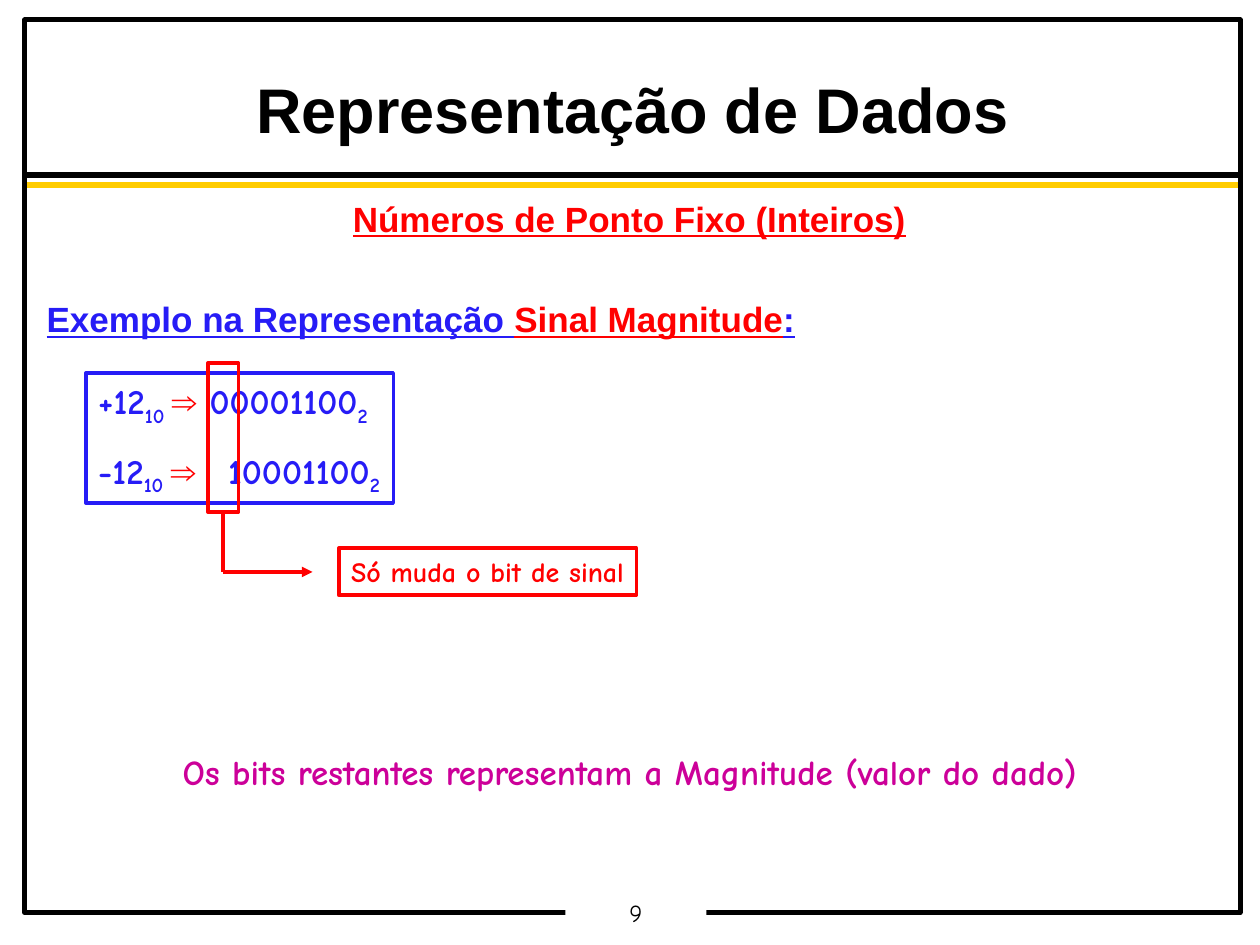
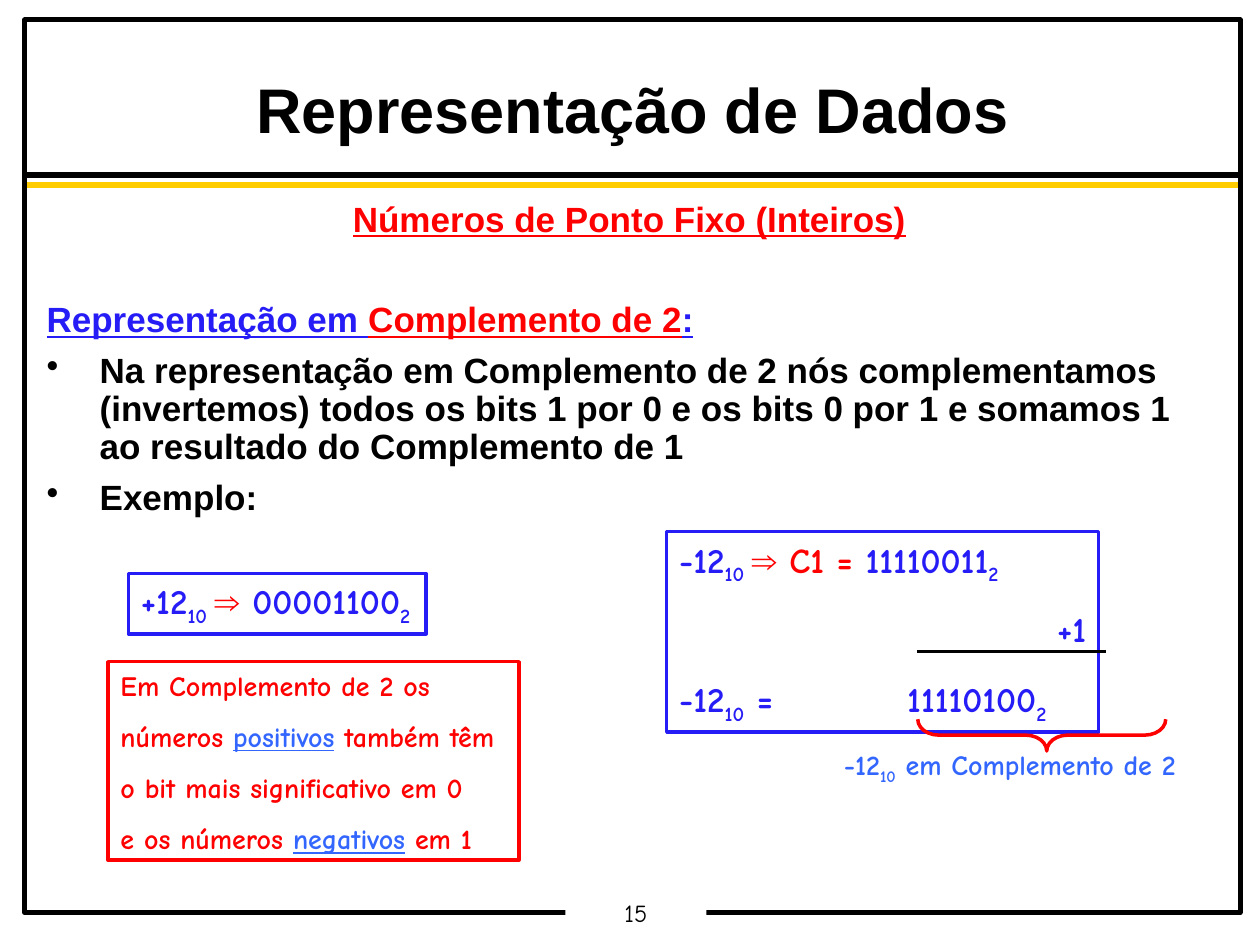
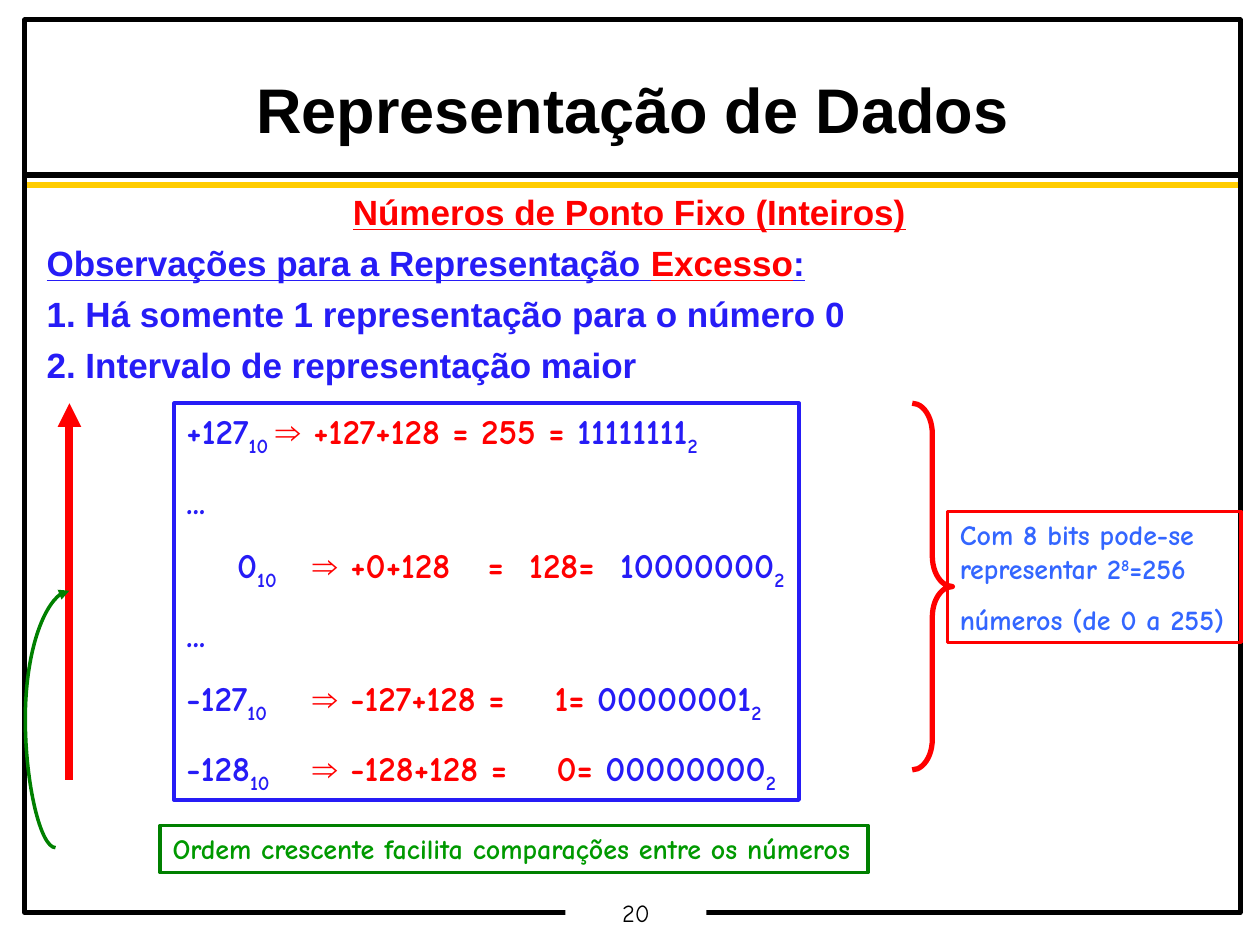
"""Build three slides on fixed-point number representation."""
from dataclasses import dataclass

from lxml.etree import SubElement
from pptx import Presentation
from pptx.dml.color import RGBColor as RGB
from pptx.enum.shapes import MSO_CONNECTOR as CONN, MSO_SHAPE as SHAPE
from pptx.enum.text import MSO_ANCHOR as ANCHOR, PP_ALIGN as ALIGN
from pptx.oxml.ns import qn
from pptx.util import Cm, Pt


@dataclass(frozen=True)
class Theme:
    black: str = "000000"
    white: str = "FFFFFF"
    gold: str = "FFCC00"
    red: str = "FF0000"
    blue: str = "261CF6"
    sky: str = "3366FF"
    magenta: str = "CC0099"
    green: str = "009900"
    dark_green: str = "008000"
    heading_font: str = "Arial"
    hand_font: str = "Comic Neue"
    title: int = 36
    body: int = 20
    note: int = 16
    footer: int = 14


T = Theme()
SUB = dict(base=-25)
RED = dict(color=T.red)
SKY = dict(color=T.sky, underline=True)
U_RED = dict(color=T.red, underline=True)
U_BLUE = dict(color=T.blue, underline=True)
BLACK = dict(color=T.black)
ARROW = ("⇒", dict(color=T.red, font=T.heading_font))
TEN, TWO = ("10", SUB), ("2", SUB)
TEN_SPACE, TEN_TAB = ("10 ", SUB), ("10\t", SUB)

TITLE = "Representação de Dados"
TOPIC = dict(runs=[("Números de Ponto Fixo (Inteiros)", U_RED)], align=ALIGN.CENTER)
PLUS_12 = dict(runs=["+12", TEN_SPACE, ARROW, " 00001100", TWO])


def heading(lead, subject, **fmt):
    return dict(runs=[(lead, U_BLUE), (subject, U_RED), (":", U_BLUE)], **fmt)


SIGN_BODY = [TOPIC, heading("Exemplo na Representação ", "Sinal Magnitude", before=36)]
SIGN_VALUES = [
    PLUS_12,
    dict(runs=["-12", TEN_SPACE, ARROW, "\t10001100", TWO], tabs=[2.62]),
]
SIGN_NOTE = [dict(runs=["Só muda o bit de sinal"])]
SIGN_CLOSING = [dict(runs=["Os bits restantes representam a Magnitude (valor do dado)"])]

COMPLEMENT_BODY = [
    TOPIC,
    heading("Representação em ", "Complemento de 2", before=36),
    dict(runs=[("Na representação em Complemento de 2 nós complementamos (invertemos) "
                "todos os bits 1 por 0 e os bits 0 por 1 e somamos 1 ao resultado do "
                "Complemento de 1", BLACK)], bullet=True),
    dict(runs=[("Exemplo:", BLACK)], bullet=True),
]
COMPLEMENT_NOTE = [
    dict(runs=["Em Complemento de 2 os"]),
    dict(runs=["números ", ("positivos", SKY), " também têm"]),
    dict(runs=["o bit mais significativo em 0"]),
    dict(runs=["e os números ", ("negativos", SKY), " em 1"]),
]
COMPLEMENT_SUM = [
    dict(runs=["-12", TEN_SPACE, ARROW, (" C1 = ", RED), "11110011", TWO]),
    dict(runs=[("\t", SUB), "+1"], tabs=[7.62]),
    dict(runs=["-12", TEN, " =\t11110100", TWO], tabs=[4.6]),
]
COMPLEMENT_LABEL = [dict(runs=["-12", TEN, " em Complemento de 2"])]

EXCESS_BODY = [
    TOPIC,
    heading("Observações para a Representação ", "Excesso"),
    dict(runs=["1. Há somente 1 representação para o número 0"]),
    dict(runs=["2. Intervalo de representação maior"]),
]
EXCESS_VALUES = [
    dict(runs=["+127", TEN_SPACE, ARROW, (" +127+128 = 255 = ", RED), "11111111", TWO]),
    dict(runs=["..."]),
    dict(runs=["\t0", TEN_TAB, ARROW, (" +0+128\t=\t128=\t", RED), "10000000", TWO],
         tabs=[1.02, 2.54, 6.07, 6.91, 8.74]),
    dict(runs=["..."]),
    dict(runs=["-127", TEN_TAB, ARROW, (" -127+128 =\t1= ", RED), "00000001", TWO],
         tabs=[2.54, 7.42]),
    dict(runs=["-128", TEN_TAB, ARROW, (" -128+128 =\t0= ", RED), "00000000", TWO],
         tabs=[2.54, 7.46]),
]
EXCESS_RANGE = [
    dict(runs=["Com 8 bits pode-se representar 2", ("8", dict(base=30)), "=256"]),
    dict(runs=["números (de 0 a 255)"]),
]
EXCESS_ORDER = [dict(runs=["Ordem crescente facilita comparações entre os números"])]


def add_outline(s, kind, box, color, width=2):
    sp = s.shapes.add_shape(kind, *map(Cm, box))
    sp.shadow.inherit = False
    sp.fill.background()
    if color:
        sp.line.color.rgb = RGB.from_string(color)
        sp.line.width = Pt(width)
    else:
        sp.line.fill.background()
    return sp


def add_brace(s, box, width, curl, tip, rotation=0):
    sp = add_outline(s, SHAPE.RIGHT_BRACE, box, T.red, width)
    sp.adjustments[0], sp.adjustments[1] = curl, tip
    sp.rotation = rotation


def add_line(s, start, end, color, width=2, arrow=False, kind=CONN.STRAIGHT):
    cx = s.shapes.add_connector(kind, *map(Cm, start + end))
    cx.line.color.rgb = RGB.from_string(color)
    cx.line.width = Pt(width)
    if arrow:
        SubElement(cx.line._get_or_add_ln(), qn("a:tailEnd"), type="triangle")
    SubElement(cx._element.spPr, qn("a:effectLst"))
    return cx


def format_tabs_and_bullet(p, tabs, bullet):
    pPr = p._p.get_or_add_pPr()
    if bullet:
        pPr.set("marL", str(Cm(1.07)))
        pPr.set("indent", str(Cm(-1.07)))
        SubElement(SubElement(pPr, qn("a:buClr")), qn("a:srgbClr"), val=T.black)
        SubElement(pPr, qn("a:buChar"), char="•")
    if tabs:
        tab_list = SubElement(pPr, qn("a:tabLst"))
        for pos in tabs:
            SubElement(tab_list, qn("a:tab"), pos=str(Cm(pos)), algn="l")


def add_text(s, box, paras, size=T.body, font=T.hand_font, color=T.blue, bold=True,
             outline=None, fill=None, align=ALIGN.LEFT, spacing=None, before=12.5,
             margins=(0.25, 0.13, 0, 0.13)):
    if outline or fill:
        sp = add_outline(s, SHAPE.RECTANGLE, box, outline)
    else:
        sp = s.shapes.add_textbox(*map(Cm, box))
    if fill:
        sp.fill.solid()
        sp.fill.fore_color.rgb = RGB.from_string(fill)
    tf = sp.text_frame
    tf.word_wrap = True
    tf.vertical_anchor = ANCHOR.TOP
    tf.margin_left, tf.margin_top, tf.margin_right, tf.margin_bottom = map(Cm, margins)
    for i, para in enumerate(paras):
        p = tf.add_paragraph() if i else tf.paragraphs[0]
        format_tabs_and_bullet(p, para.get("tabs"), para.get("bullet"))
        p.alignment = para.get("align", align)
        if spacing:
            p.line_spacing = spacing
        p.space_before = Pt(para.get("before", before) if i else 0)
        for run in para["runs"]:
            text, fmt = (run, {}) if isinstance(run, str) else run
            r = p.add_run()
            r.text = text
            r.font.size = Pt(size)
            r.font.bold = bold
            r.font.name = fmt.get("font", font)
            r.font.underline = fmt.get("underline", False)
            r.font.color.rgb = RGB.from_string(fmt.get("color", color))
            if "base" in fmt:
                r._r.get_or_add_rPr().set("baseline", str(fmt["base"] * 1000))
    return sp


def add_note(s, box, paras, color, outline=None):
    add_text(s, box, paras, size=T.note, color=color, outline=outline, before=10)


def add_base(prs, number, body, body_top=3.94):
    s = prs.slides.add_slide(prs.slide_layouts[6])
    for y, color in ((3.53, T.black), (3.73, T.gold)):
        add_line(s, (0.5, y), (25, y), color, 3)
    add_outline(s, SHAPE.RECTANGLE, (0.5, 0.4, 24.5, 18), T.black, 2.83)
    slim = (0.18, 0.08, 0.18, 0.08)
    add_text(s, (11.4, 18.1, 2.84, 0.68), [dict(runs=[str(number)])], size=T.footer,
             color=T.black, bold=False, fill=T.white, align=ALIGN.CENTER,
             spacing=0.9, margins=slim)
    add_text(s, (0.5, 1.45, 24.5, 1.6), [dict(runs=[TITLE])], size=T.title,
             font=T.heading_font, color=T.black, align=ALIGN.CENTER,
             spacing=0.95, margins=slim)
    add_text(s, (0.69, body_top, 24, 13), body, font=T.heading_font, spacing=0.9,
             before=7.5, margins=(0.25, 0.13, 0.25, 0.13))
    return s


def build_sign_magnitude(prs):
    s = add_base(prs, 9, SIGN_BODY)
    add_text(s, (1.73, 7.52, 6.2, 2.62), SIGN_VALUES, outline=T.blue)
    add_text(s, (3.43, 15, 18.67, 1.1), SIGN_CLOSING, color=T.magenta)
    sign_bit = add_outline(s, SHAPE.RECTANGLE, (4.19, 7.32, 0.62, 3), T.red)
    corner = (4.5, 11.53)
    add_line(s, (4.5, 10.32), corner, T.red).begin_connect(sign_bit, 2)
    add_line(s, corner, (6.3, 11.53), T.red, arrow=True)
    add_note(s, (6.83, 11.05, 6, 0.95), SIGN_NOTE, T.red, T.red)


def build_complement(prs):
    s = add_base(prs, 15, COMPLEMENT_BODY)
    add_text(s, (2.59, 11.56, 6, 1.22), [PLUS_12], outline=T.blue)
    add_note(s, (2.18, 13.34, 8.28, 4), COMPLEMENT_NOTE, T.red, T.red)
    add_text(s, (13.44, 10.72, 8.71, 4.04), COMPLEMENT_SUM, outline=T.blue)
    add_line(s, (18.49, 13.13), (22.3, 13.13), T.black)
    add_brace(s, (20.68, 12.32, 0.64, 5), 2, 0.66, 0.48, rotation=90)
    add_note(s, (16.76, 14.94, 7.42, 1.04), COMPLEMENT_LABEL, T.sky)


def build_excess(prs):
    s = add_base(prs, 20, EXCESS_BODY, body_top=3.81)
    add_text(s, (3.51, 8.13, 12.6, 8), EXCESS_VALUES, outline=T.blue)
    add_brace(s, (18.39, 8.13, 0.81, 7.39), 3, 0.76, 0.5)
    add_note(s, (19.1, 10.31, 5.92, 2.64), EXCESS_RANGE, T.sky, T.red)
    add_note(s, (3.23, 16.64, 14.27, 0.95), EXCESS_ORDER, T.green, T.dark_green)
    add_line(s, (1.4, 15.72), (1.4, 8.13), T.red, 4.5, arrow=True)
    curve = add_line(s, (1.12, 17.09), (1.4, 11.91), T.dark_green, 2,
                     arrow=True, kind=CONN.CURVE)
    guides = curve._element.spPr.find(qn("a:prstGeom")).get_or_add_avLst()
    SubElement(guides, qn("a:gd"), name="adj1", fmla="val -217800")


def main():
    prs = Presentation()
    prs.slide_width, prs.slide_height = Cm(25.4), Cm(19.05)
    for build in (build_sign_magnitude, build_complement, build_excess):
        build(prs)
    prs.save("out.pptx")


if __name__ == "__main__":
    main()
